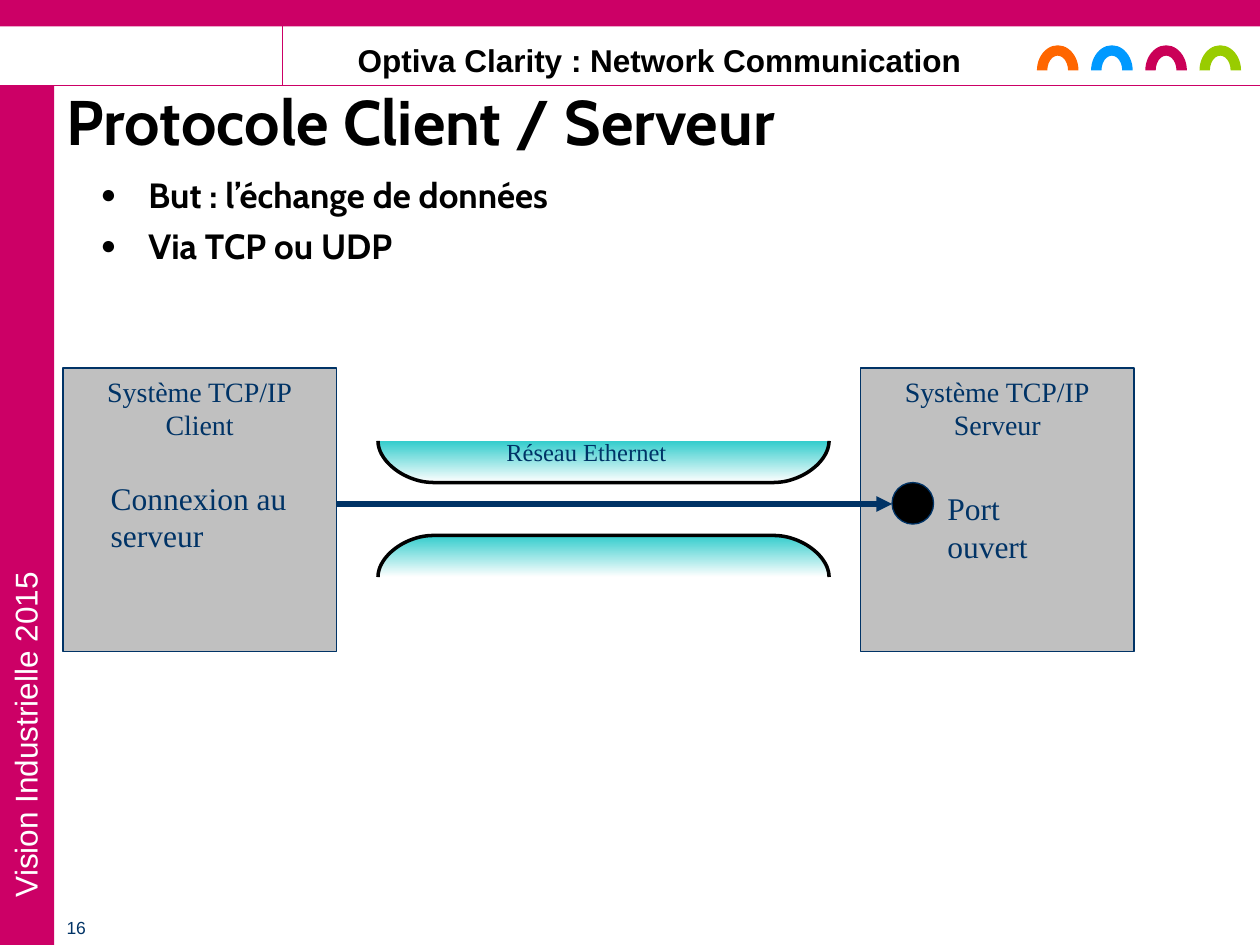
from dataclasses import dataclass

from lxml import etree
from pptx import Presentation
from pptx import util as u
from pptx.dml import color as dml
from pptx.enum import shapes, text
from pptx.oxml import ns


@dataclass(frozen=True)
class Theme:
    magenta: str = "CC0066"
    navy: str = "003366"
    grey: str = "C0C0C0"
    teal: str = "33CCCC"
    black: str = "000000"
    white: str = "FFFFFF"
    arches: tuple[str, ...] = ("FF6600", "0099FF", "CA0057", "99CC00")
    sans: str = "Arial"
    heading: str = "Cabin"
    serif: str = "Times New Roman"
    title_size: int = 36
    bullet_size: int = 20
    label_size: int = 18
    system_size: int = 16
    network_size: int = 14
    number_size: int = 10


@dataclass(frozen=True)
class Style:
    font: str
    size: int
    color: str
    bold: bool = False
    align: text.PP_ALIGN = text.PP_ALIGN.LEFT


@dataclass(frozen=True)
class Label:
    words: str
    box: tuple[float, float, float, float]
    style: Style
    rotation: int = 0


@dataclass(frozen=True)
class System:
    role: str
    left: float


@dataclass(frozen=True)
class Channel:
    flat_y: float  # open edge
    curved_y: float  # outlined edge


THEME = Theme()
CENTER = text.PP_ALIGN.CENTER
NOTE = Style(THEME.serif, THEME.label_size, THEME.navy)
SYSTEM = Style(THEME.serif, THEME.system_size, THEME.navy, align=CENTER)
TITLE = Style(THEME.heading, THEME.title_size, THEME.black, True)
BULLET = Style(THEME.heading, THEME.bullet_size, THEME.black, True)

FRAME_LABELS = [
    Label("Vision Industrielle 2015", (-1.85, 4.97, 4.1, 0.4),
          Style(THEME.sans, THEME.label_size, THEME.white), 270),
    Label("16", (0.43, 7.23, 0.47, 0.27),
          Style(THEME.sans, THEME.number_size, THEME.navy)),
    Label("Optiva Clarity : Network Communication", (2.32, 0.28, 5.83, 0.4),
          Style(THEME.sans, THEME.label_size, THEME.black, True, CENTER)),
]
DIAGRAM_LABELS = [
    Label("Réseau Ethernet", (3.92, 3.42, 1.83, 0.34),
          Style(THEME.serif, THEME.network_size, THEME.navy)),
    Label("Connexion au serveur", (0.78, 3.75, 1.89, 0.7), NOTE),
    Label("Port ouvert", (7.42, 3.83, 1.25, 0.7), NOTE),
]
SYSTEMS = [System("Serveur", 6.83), System("Client", 0.5)]
CHANNELS = [Channel(4.58, 4.25), Channel(3.5, 3.83)]
BULLETS = ["But : l’échange de données", "Via TCP ou UDP"]


def rgb(value: str) -> dml.RGBColor:
    return dml.RGBColor.from_string(value)


def inches(*values: float) -> list[u.Length]:
    return [u.Inches(value) for value in values]


def write(frame, lines: list[str], style: Style) -> None:
    frame.text = "\n".join(lines)
    for paragraph in frame.paragraphs:
        paragraph.alignment = style.align
        paragraph.font.name = style.font
        paragraph.font.size = u.Pt(style.size)
        paragraph.font.bold = style.bold
        paragraph.font.color.rgb = rgb(style.color)


def add_label(slide, label: Label) -> None:
    shape = slide.shapes.add_textbox(*inches(*label.box))
    shape.rotation = label.rotation
    shape.text_frame.word_wrap = True
    write(shape.text_frame, [label.words], label.style)


def add_block(slide, kind, box: tuple[float, ...], fill: str, line: str | None = None):
    shape = slide.shapes.add_shape(kind, *inches(*box))
    shape.shadow.inherit = False
    shape.fill.solid()
    shape.fill.fore_color.rgb = rgb(fill)
    if line:
        shape.line.color.rgb = rgb(line)
        shape.line.width = u.Pt(0.75)
    else:
        shape.line.fill.background()
    return shape


def add_line(slide, ends: tuple[float, ...], color: str, width: float):
    line = slide.shapes.add_connector(shapes.MSO_CONNECTOR.STRAIGHT, *inches(*ends))
    line.line.color.rgb = rgb(color)
    line.line.width = u.Pt(width)
    etree.SubElement(line._element.spPr, ns.qn("a:effectLst"))
    return line


def add_system(slide, system: System) -> None:
    shape = add_block(slide, shapes.MSO_SHAPE.RECTANGLE,
                      (system.left, 2.92, 2.17, 2.25), THEME.grey, THEME.navy)
    shape.text_frame.word_wrap = False
    shape.text_frame.vertical_anchor = text.MSO_ANCHOR.TOP
    write(shape.text_frame, ["Système TCP/IP", system.role], SYSTEM)


def add_channel(slide, channel: Channel) -> None:
    left, right, corner, steps = 3.0, 6.58, 0.44, 24
    rise = channel.curved_y - channel.flat_y
    # Bezier corner from the open edge to the outlined edge
    curve = []
    for step in range(steps + 1):
        t = step / steps
        across = corner * (1.5 * t**2 * (1 - t) + t**3)
        along = rise * (1.5 * t * (1 - t)**2 + 3 * t**2 * (1 - t) + t**3)
        curve.append((across, channel.flat_y + along))
    outline = [(right - x, y) for x, y in curve]
    outline += [(left + x, y) for x, y in reversed(curve)]
    # The builder keeps whole units only, so points are given in EMU
    points = [inches(x, y) for x, y in outline]
    builder = slide.shapes.build_freeform(*points[0], scale=1.0)
    builder.add_line_segments(points[1:], close=False)
    shape = builder.convert_to_shape()
    shape.shadow.inherit = False
    shape.fill.gradient()
    shape.fill.gradient_angle = 270
    for stop, color in zip(shape.fill.gradient_stops, (THEME.teal, THEME.white)):
        stop.color.rgb = rgb(color)
    shape.line.color.rgb = rgb(THEME.black)
    shape.line.width = u.Pt(2)


def add_bullets(slide) -> None:
    shape = slide.shapes.add_textbox(*inches(0.7, 1.33, 9.06, 5.91))
    frame = shape.text_frame
    frame.word_wrap = True
    frame.text = "\n".join(BULLETS)
    for index, paragraph in enumerate(frame.paragraphs):
        properties = paragraph._p.get_or_add_pPr()
        properties.set("marL", str(u.Inches(0.38)))
        properties.set("indent", str(u.Inches(-0.38)))
        etree.SubElement(properties, ns.qn("a:buSzPct"), val="75000")
        etree.SubElement(properties, ns.qn("a:buFont"), typeface=THEME.sans)
        etree.SubElement(properties, ns.qn("a:buChar"), char="●")
        if index:
            paragraph.space_before = u.Pt(5)
        paragraph.font.name = BULLET.font
        paragraph.font.size = u.Pt(BULLET.size)
        paragraph.font.bold = BULLET.bold
        paragraph.font.color.rgb = rgb(BULLET.color)


def add_frame(slide) -> None:
    # Coloured bands and header rules
    for box in ((0, 0.68, 0.43, 6.82), (0, 0, 10, 0.21)):
        add_block(slide, shapes.MSO_SHAPE.RECTANGLE, box, THEME.magenta)
    for ends in ((0, 0.68, 10, 0.68), (2.24, 0.68, 2.24, 0)):
        add_line(slide, ends, THEME.magenta, 0.75)
    # Row of arches
    for index, color in enumerate(THEME.arches):
        add_block(slide, shapes.MSO_SHAPE.BLOCK_ARC,
                  (8.23 + 0.43 * index, 0.36, 0.33, 0.4), color)
    for label in FRAME_LABELS:
        add_label(slide, label)


def add_diagram(slide) -> None:
    for system in SYSTEMS:
        add_system(slide, system)
    for channel in CHANNELS:
        add_channel(slide, channel)
    # Open port and the connection that reaches it
    add_block(slide, shapes.MSO_SHAPE.OVAL, (7.08, 3.83, 0.33, 0.33), THEME.black, THEME.navy)
    arrow = add_line(slide, (2.67, 4, 7.08, 4), THEME.navy, 3)
    etree.SubElement(arrow.line._get_or_add_ln(), ns.qn("a:tailEnd"), type="triangle")
    for label in DIAGRAM_LABELS:
        add_label(slide, label)


def main() -> None:
    presentation = Presentation()
    presentation.slide_width, presentation.slide_height = inches(10, 7.5)
    slide = presentation.slides.add_slide(presentation.slide_layouts[5])
    add_frame(slide)
    # Title and bullets
    title = slide.shapes.title
    title.left, title.top, title.width, title.height = inches(0.43, 0.76, 9.45, 0.47)
    title.text_frame.auto_size = text.MSO_AUTO_SIZE.NONE
    title.text_frame.vertical_anchor = text.MSO_ANCHOR.MIDDLE
    write(title.text_frame, ["Protocole Client / Serveur"], TITLE)
    title.text_frame.paragraphs[0].line_spacing = 0.9
    add_bullets(slide)
    add_diagram(slide)
    presentation.save("out.pptx")


if __name__ == "__main__":
    main()
